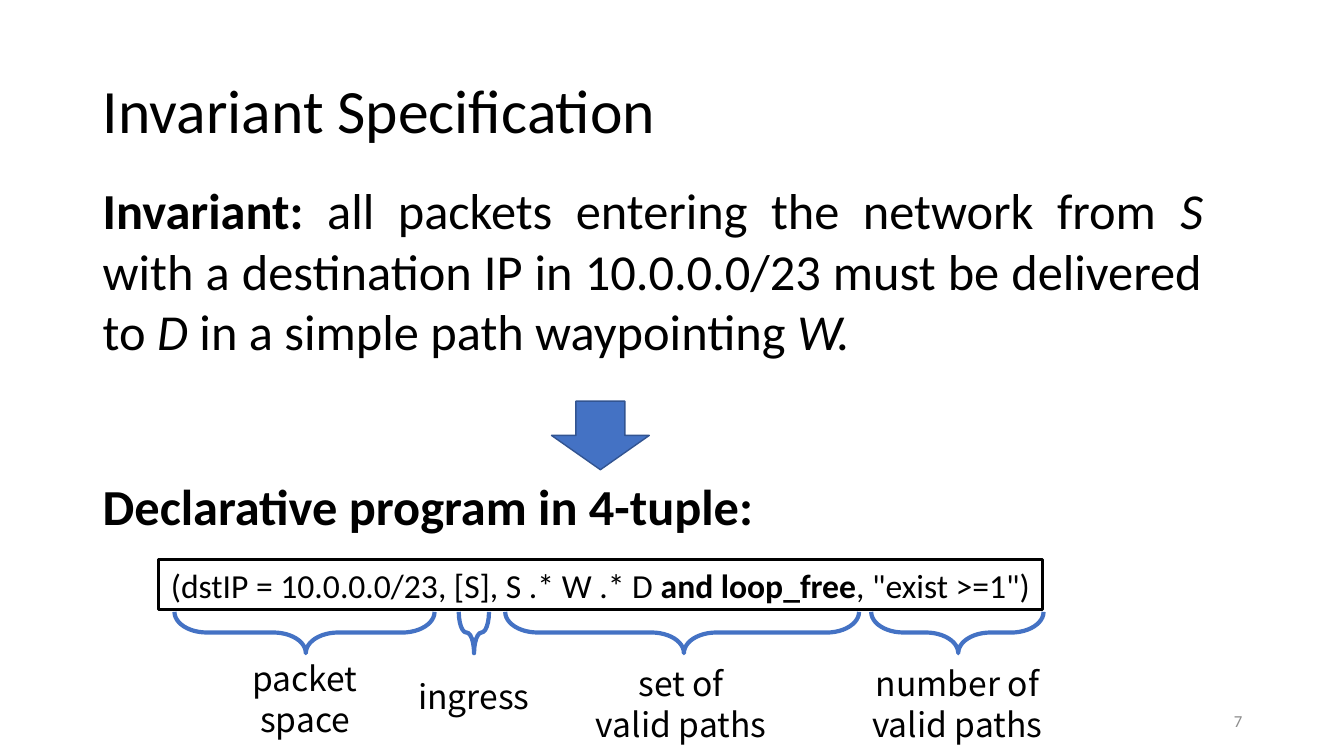
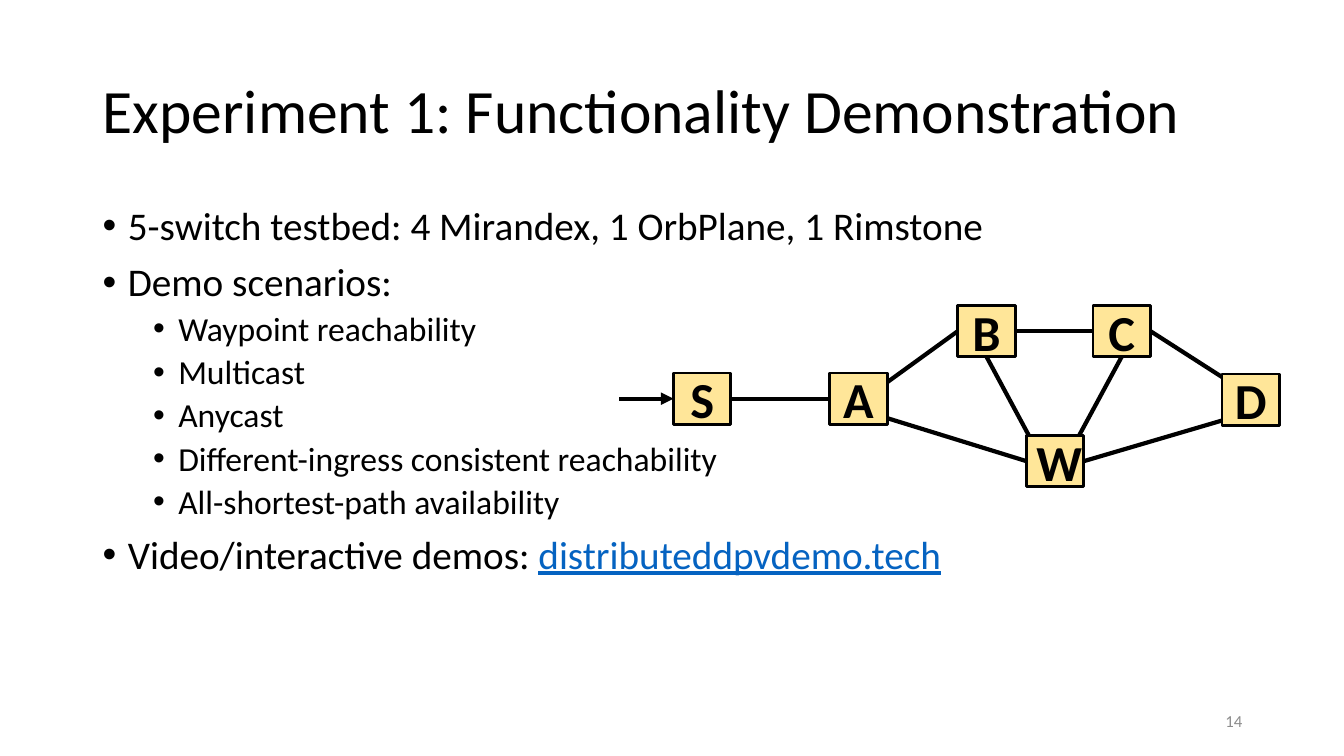
from dataclasses import dataclass

from lxml.etree import SubElement as Sub
from pptx import Presentation
from pptx.dml.color import RGBColor as Rgb
from pptx.enum.shapes import MSO_CONNECTOR as Link, MSO_SHAPE as Kind
from pptx.enum.text import MSO_ANCHOR as Anchor, MSO_AUTO_SIZE as Fit, PP_ALIGN as Align
from pptx.oxml.ns import qn
from pptx.util import Inches, Pt


@dataclass(frozen=True)
class Theme:
    """Colours, fonts and type sizes of the deck."""
    ink: Rgb = Rgb.from_string("000000")
    blue: Rgb = Rgb.from_string("4472C4")
    navy: Rgb = Rgb.from_string("325491")
    sand: Rgb = Rgb.from_string("FFE699")
    web: Rgb = Rgb.from_string("0563C1")
    gray: Rgb = Rgb.from_string("8C8C8C")
    font: str = "Calibri"
    alt: str = "Noto Sans CJK SC"
    title: int = 44
    lead: int = 36
    body: int = 28
    small: int = 24
    note: int = 12


T = Theme()
LEFT = 0.92


def place(shape, box):
    """Move a shape to a box given in inches."""
    shape.left, shape.top, shape.width, shape.height = map(Inches, box)


def style(para, size, color=T.ink, name=T.font, bold=None, align=Align.LEFT):
    """Set the alignment and font of a paragraph."""
    para.alignment = align
    font = para.font
    font.size, font.name, font.bold = Pt(size), name, bold
    font.color.rgb = color


def fill_para(para, runs):
    """Add runs, each a string or a (string, mark) pair."""
    for item in runs:
        text, mark = (item, "") if isinstance(item, str) else item
        run = para.add_run()
        run.text = text
        if mark == "bold":
            run.font.bold = True
        elif mark == "italic":
            run.font.italic = True
        elif mark == "web":
            run.font.underline = True
            run.font.color.rgb = T.web


def write(frame, paras, size, **look):
    """Write equally styled paragraphs into a text frame."""
    for i, runs in enumerate(paras):
        para = frame.add_paragraph() if i else frame.paragraphs[0]
        fill_para(para, runs)
        style(para, size, **look)


def add_text(slide, box, paras, size, anchor=Anchor.TOP, wrap=True, **look):
    """Add a text box."""
    frame = slide.shapes.add_textbox(*map(Inches, box)).text_frame
    frame.word_wrap, frame.vertical_anchor = wrap, anchor
    write(frame, paras, size, **look)


def add_shape(slide, kind, box, fill, line, width):
    """Add a flat preset shape."""
    shape = slide.shapes.add_shape(kind, *map(Inches, box))
    shape.shadow.inherit = False
    if fill is None:
        shape.fill.background()
    else:
        shape.fill.solid()
        shape.fill.fore_color.rgb = fill
    shape.line.color.rgb, shape.line.width = line, Pt(width)
    return shape


def add_line(slide, start, end, arrow=False):
    """Add a straight line with an optional arrowhead."""
    line = slide.shapes.add_connector(Link.STRAIGHT, *map(Inches, (*start, *end)))
    line.line.color.rgb, line.line.width = T.ink, Pt(3)
    if arrow:
        Sub(line.line._get_or_add_ln(), qn("a:tailEnd"), type="triangle")
    Sub(line._element.spPr, qn("a:effectLst"))


def new_slide(deck, title, page):
    """Add a slide with its title and page number."""
    slide = deck.slides.add_slide(deck.slide_layouts[5])
    head = slide.shapes.title
    place(head, (LEFT, 0.4, 11.5, 1.45))
    frame = head.text_frame
    frame.auto_size, frame.vertical_anchor = Fit.NONE, Anchor.MIDDLE
    write(frame, [[title]], T.title)
    frame.paragraphs[0].line_spacing = 0.9
    add_text(slide, (9.42, 6.95, 3, 0.4), [[page]], T.note,
             anchor=Anchor.MIDDLE, color=T.gray, align=Align.RIGHT)
    return slide


def add_brace(slide, left, top, width):
    """Add a brace that points down below a span."""
    depth = 0.41
    box = (left + (width - depth) / 2, top + (depth - width) / 2, depth, width)
    brace = add_shape(slide, Kind.RIGHT_BRACE, box, None, T.blue, 3)
    brace.rotation = 90
    brace.adjustments[0], brace.adjustments[1] = 0.783, 0.495


def add_tuple(slide, x, y):
    """Place the boxed program, its braces and their labels."""
    high = 0.5
    code = add_shape(slide, Kind.RECTANGLE, (x, y, 8.77, high), None, T.ink, 2)
    write(code.text_frame, [["(dstIP = 10.0.0.0/23, [S], S .* W .* D ",
                             ("and loop_free", "bold"), ', "exist >=1")']],
          T.small, align=Align.CENTER)
    parts = [
        (0.16, 2.58, (0.72, 0.93, 1.47, 0.91), ["packet space"]),
        (2.98, 0.3, (2.44, 1.11, 1.38, 0.5), ["ingress"]),
        (3.44, 3.51, (4.06, 0.98, 2.25, 0.91), ["set of", "valid paths"]),
        (7.07, 1.71, (6.8, 0.98, 2.25, 0.91), ["number of", "valid paths"]),
    ]
    for left, span, (dx, dy, w, h), lines in parts:
        add_brace(slide, x + left, y + high + 0.02, span)
        add_text(slide, (x + dx, y + dy, w, h), [[line] for line in lines],
                 T.small, name=T.alt, align=Align.CENTER)


def add_list(slide, box, items):
    """Place a bulleted list of (level, runs) items."""
    frame = slide.shapes.add_textbox(*map(Inches, box)).text_frame
    frame.word_wrap = True
    for i, (level, runs) in enumerate(items):
        para = frame.add_paragraph() if i else frame.paragraphs[0]
        fill_para(para, runs)
        para.level, para.line_spacing = level, 0.9
        if i:
            para.space_before = Pt(5 if level else 10)
        props = para._p.get_or_add_pPr()
        props.set("marL", str(Inches(0.25 + 0.5 * level)))
        props.set("indent", str(Inches(-0.25)))
        Sub(props, qn("a:buFont"), typeface="Arial")
        Sub(props, qn("a:buChar"), char="•")
        style(para, T.small if level else T.body)


def add_graph(slide, x, y):
    """Place the switch network, links behind nodes."""
    w, h = 0.57, 0.51
    nodes = {"S": (0.54, 0.67), "A": (2.09, 0.67), "B": (3.36, 0),
             "C": (4.7, 0), "D": (5.98, 0.68), "W": (4.04, 1.29)}
    links = [
        ("S", 1, 0.5, "A", 0, 0.5), ("A", 1, 0.18, "B", 0, 0.5),
        ("B", 1, 0.5, "C", 0, 0.5), ("A", 1, 0.88, "W", 0, 0.5),
        ("W", 1, 0.5, "D", 0.14, 0.86), ("C", 1, 0.5, "D", 0.14, 0.16),
        ("W", 0.12, 0.16, "B", 0.5, 1), ("W", 0.84, 0.16, "C", 0.5, 1),
    ]

    def port(name, across, down):
        """Return a point inside or on a node."""
        dx, dy = nodes[name]
        return x + dx + across * w, y + dy + down * h

    for one, ax, ay, two, bx, by in links:
        add_line(slide, port(one, ax, ay), port(two, bx, by))
    entry = port("S", 0, 0.5)
    add_line(slide, (x, entry[1]), entry, arrow=True)
    for name in nodes:
        node = add_shape(slide, Kind.RECTANGLE, (*port(name, 0, 0), w, h),
                         T.sand, T.ink, 2)
        write(node.text_frame, [[name]], T.lead, bold=True, align=Align.CENTER)


def add_spec(deck):
    """Build the slide on invariants."""
    slide = new_slide(deck, "Invariant Specification", "7")
    add_text(slide, (LEFT, 1.73, 11.11, 1.92), [[
        ("Invariant: ", "bold"), "all packets entering the network from ",
        ("S ", "italic"),
        "with a destination IP in 10.0.0.0/23 must be delivered to ",
        ("D ", "italic"), "in a simple path waypointing ", ("W.", "italic"),
    ]], T.lead, align=Align.JUSTIFY)
    add_shape(slide, Kind.DOWN_ARROW, (5.47, 3.98, 0.97, 0.68), T.blue, T.navy, 1)
    add_text(slide, (LEFT, 4.66, 6.73, 0.71), [["Declarative program in 4-tuple:"]],
             T.lead, wrap=False, bold=True)
    add_tuple(slide, 1.57, 5.55)


def add_demo(deck):
    """Build the slide on the first experiment."""
    slide = new_slide(deck, "Experiment 1: Functionality Demonstration", "14")
    cases = ["Waypoint reachability", "Multicast", "Anycast",
             "Different-ingress consistent reachability",
             "All-shortest-path availability"]
    add_list(slide, (LEFT, 2, 11.5, 4.76), [
        (0, ["5-switch testbed: 4 Mirandex, 1 OrbPlane, 1 Rimstone"]),
        (0, ["Demo scenarios:"]),
        *((1, [case]) for case in cases),
        (0, ["Video/interactive demos: ", ("distributeddpvdemo.tech", "web")]),
    ])
    add_graph(slide, 6.14, 3.03)


def main():
    """Build and save the deck."""
    deck = Presentation()
    deck.slide_width, deck.slide_height = Inches(13.33), Inches(7.5)
    add_spec(deck)
    add_demo(deck)
    deck.save("out.pptx")


if __name__ == "__main__":
    main()
